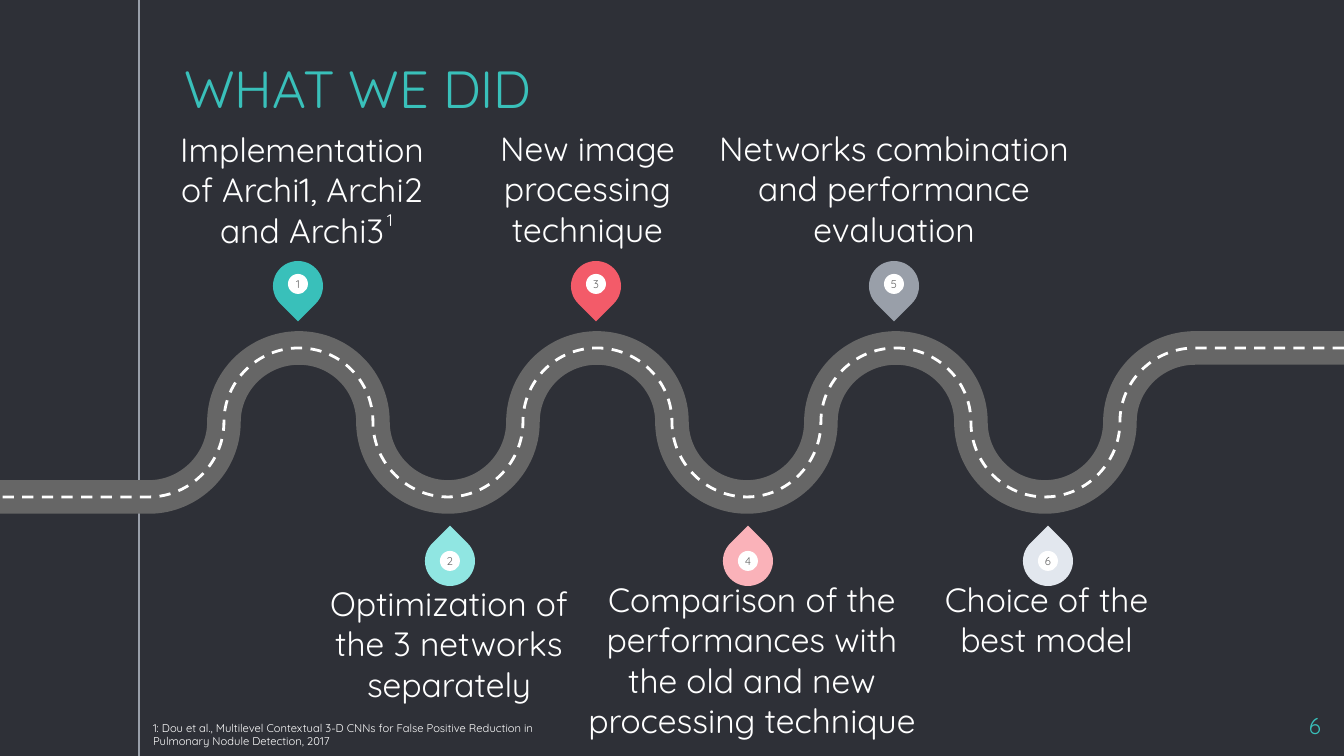
from lxml.etree import SubElement
from pptx import Presentation
from pptx.dml.color import RGBColor
from pptx.enum.dml import MSO_LINE_DASH_STYLE as Dash
from pptx.enum.shapes import MSO_CONNECTOR as Connector, MSO_SHAPE as Shape
from pptx.enum.text import MSO_ANCHOR as Anchor, MSO_AUTO_SIZE as AutoSize, PP_ALIGN as Align
from pptx.oxml.ns import qn
from pptx.util import Pt

WIDTH, HEIGHT = 1344, 756
EMU_PER_PX = 9144000 / WIDTH
ROAD_TOP, ROAD_RISE, ROAD_COLUMNS = 348, 149, 18
ARC = 0.55


def px(length):
    return round(length * EMU_PER_PX)


def color(hex_string):
    return RGBColor.from_string(hex_string)


class RoadmapSlide:
    font = "Quicksand"
    background = "2E3037"
    accent = "39C0BA"
    white = "FFFFFF"
    asphalt = "666666"
    rule = "999FA9"

    def __init__(self, presentation):
        self.slide = presentation.slides.add_slide(presentation.slide_layouts[5])
        fill = self.slide.background.fill
        fill.solid()
        fill.fore_color.rgb = color(self.background)

    def set_words(self, shape, words, size, ink, align=Align.LEFT, anchor=Anchor.TOP,
                  inset=0, wrap=True, fit=AutoSize.NONE):
        frame = shape.text_frame
        frame.text = words
        frame.word_wrap = wrap
        frame.auto_size = fit
        frame.vertical_anchor = anchor
        frame.margin_left = frame.margin_right = px(inset)
        frame.margin_top = frame.margin_bottom = px(inset)
        paragraph = frame.paragraphs[0]
        paragraph.alignment = align
        for run in paragraph.runs:
            run.font.name = self.font
            run.font.size = Pt(size)
            run.font.color.rgb = color(ink)
        return frame

    def title(self, words, left, top, width, height):
        heading = self.slide.shapes.title
        heading.left, heading.top = px(left), px(top)
        heading.width, heading.height = px(width), px(height)
        self.set_words(heading, words, 28, self.accent, anchor=Anchor.BOTTOM, inset=13)

    def text(self, words, box, size, ink=white, **layout):
        label = self.slide.shapes.add_textbox(*map(px, box))
        return self.set_words(label, words, size, ink, **layout)

    def note(self, words, box, size, wrap=True):
        frame = self.text(words, box, size, wrap=wrap, fit=AutoSize.SHAPE_TO_FIT_TEXT)
        frame.margin_left = frame.margin_right = px(13)
        frame.margin_top = frame.margin_bottom = px(7)

    def vertical_rule(self, x):
        line = self.slide.shapes.add_connector(Connector.STRAIGHT, px(x), 0, px(x), px(HEIGHT))
        line.line.color.rgb = color(self.rule)
        line.line.width = Pt(0.75)
        SubElement(line._element.spPr, qn("a:effectLst"))

    def road(self, stroke, width, dash=None):
        columns = [ROAD_COLUMNS, *range(16, 1, -1), 0]
        heights = [0, *[(0, 0.5, 1, 0.5)[i % 4] for i in range(15)], 1]
        nodes = [(round(WIDTH * column / ROAD_COLUMNS), round(ROAD_TOP + ROAD_RISE * height))
                 for column, height in zip(columns, heights)]
        builder = self.slide.shapes.build_freeform(*nodes[0], scale=EMU_PER_PX)
        builder.add_line_segments(nodes[1:], close=False)
        road = builder.convert_to_shape()
        segments = list(road._element.iter(qn("a:lnTo")))
        for i, segment in enumerate(segments[1:-1]):
            self.bend(segment, nodes[i + 1], nodes[i + 2], leaves_level=i % 2 == 0)
        road.shadow.inherit = False
        road.fill.background()
        road.line.color.rgb = color(stroke)
        road.line.width = Pt(width)
        if dash:
            road.line.dash_style = dash

    def bend(self, segment, start, end, leaves_level):
        (x0, y0), (x1, y1) = start, end
        reach_x, reach_y = ARC * (x1 - x0), ARC * (y1 - y0)
        if leaves_level:
            controls = [(x0 + reach_x, y0), (x1, y1 - reach_y)]
        else:
            controls = [(x0, y0 + reach_y), (x1 - reach_x, y1)]
        curve = segment.getparent().makeelement(qn("a:cubicBezTo"))
        for x, y in [*controls, end]:
            SubElement(curve, qn("a:pt"), x=str(round(x)), y=str(round(y - ROAD_TOP)))
        segment.getparent().replace(segment, curve)

    def pin(self, number, left, top, dot_drop, rotation, fill):
        group = self.slide.shapes.add_group_shape()
        drop = self.solid(group, Shape.TEAR, left, top, 50, fill)
        drop.rotation = rotation
        dot = self.solid(group, Shape.OVAL, left + 15, top + dot_drop, 20, self.white)
        self.set_words(dot, number, 6, self.asphalt, Align.CENTER, Anchor.MIDDLE)

    def solid(self, group, kind, left, top, size, fill):
        shape = group.shapes.add_shape(kind, px(left), px(top), px(size), px(size))
        shape.shadow.inherit = False
        shape.fill.solid()
        shape.fill.fore_color.rgb = color(fill)
        shape.line.fill.background()
        return shape


STEPS = [
    (273, "39C0BA", "Implementation of Archi1, Archi2 and Archi3", (177, 129, 250, 82), Anchor.TOP),
    (425, "90E6E2", "Optimization of the 3 networks separately", (313, 626, 272, 78), Anchor.BOTTOM),
    (571, "F35B69", "New image processing technique", (473, 168, 229, 81), Anchor.BOTTOM),
    (723, "FAB2B9", "Comparison of the performances with the old and new processing technique",
     (585, 579, 334, 80), Anchor.TOP),
    (869, "999FA9", "Networks combination and performance evaluation", (693, 168, 402, 81), Anchor.BOTTOM),
    (1023, "E2E7EE", "Choice of the best model", (919, 579, 255, 80), Anchor.TOP),
]


def main():
    presentation = Presentation()
    presentation.slide_width, presentation.slide_height = px(WIDTH), px(HEIGHT)
    roadmap = RoadmapSlide(presentation)
    roadmap.vertical_rule(139)
    roadmap.title("WHAT WE DID", 171, 81, 1008, 51)
    roadmap.text("6", (1253, 699, 81, 46), 12, roadmap.accent, align=Align.RIGHT, inset=13)
    roadmap.road(roadmap.asphalt, 18)
    roadmap.road(roadmap.white, 1.5, Dash.DASH)
    for number, (left, fill, caption, box, anchor) in enumerate(STEPS, 1):
        top, dot_drop, rotation = (261, 13, 135) if number % 2 else (536, 15, 315)
        roadmap.pin(str(number), left, top, dot_drop, rotation, fill)
        roadmap.text(caption, box, 18, align=Align.CENTER, anchor=anchor)
    roadmap.note("1", (374, 203, 34, 34), 9, wrap=False)
    roadmap.note("1: Dou et al., Multilevel Contextual 3-D CNNs for False Positive Reduction "
                 "in Pulmonary Nodule Detection, 2017", (140, 714, 406, 40), 6)
    presentation.save("out.pptx")


if __name__ == "__main__":
    main()
